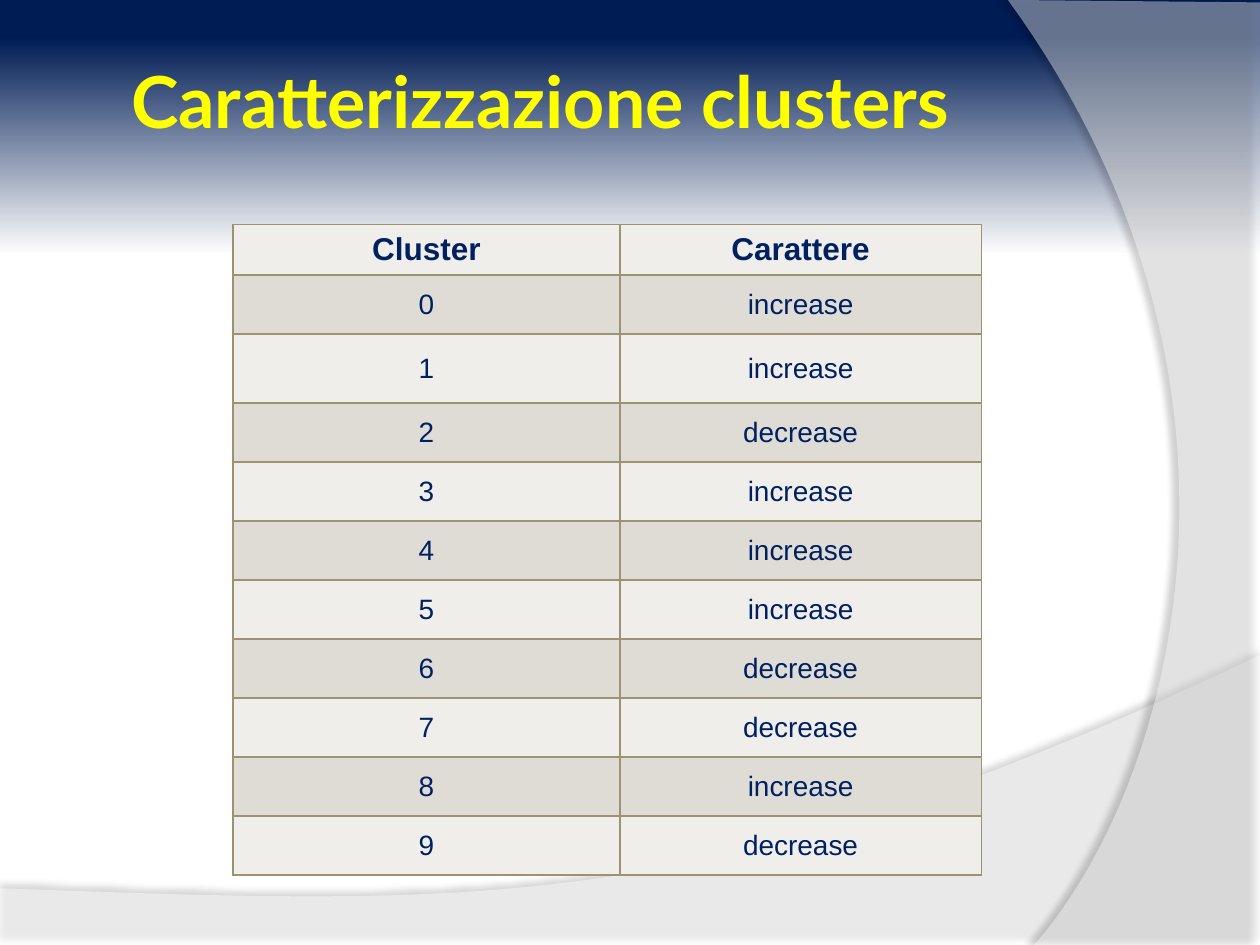
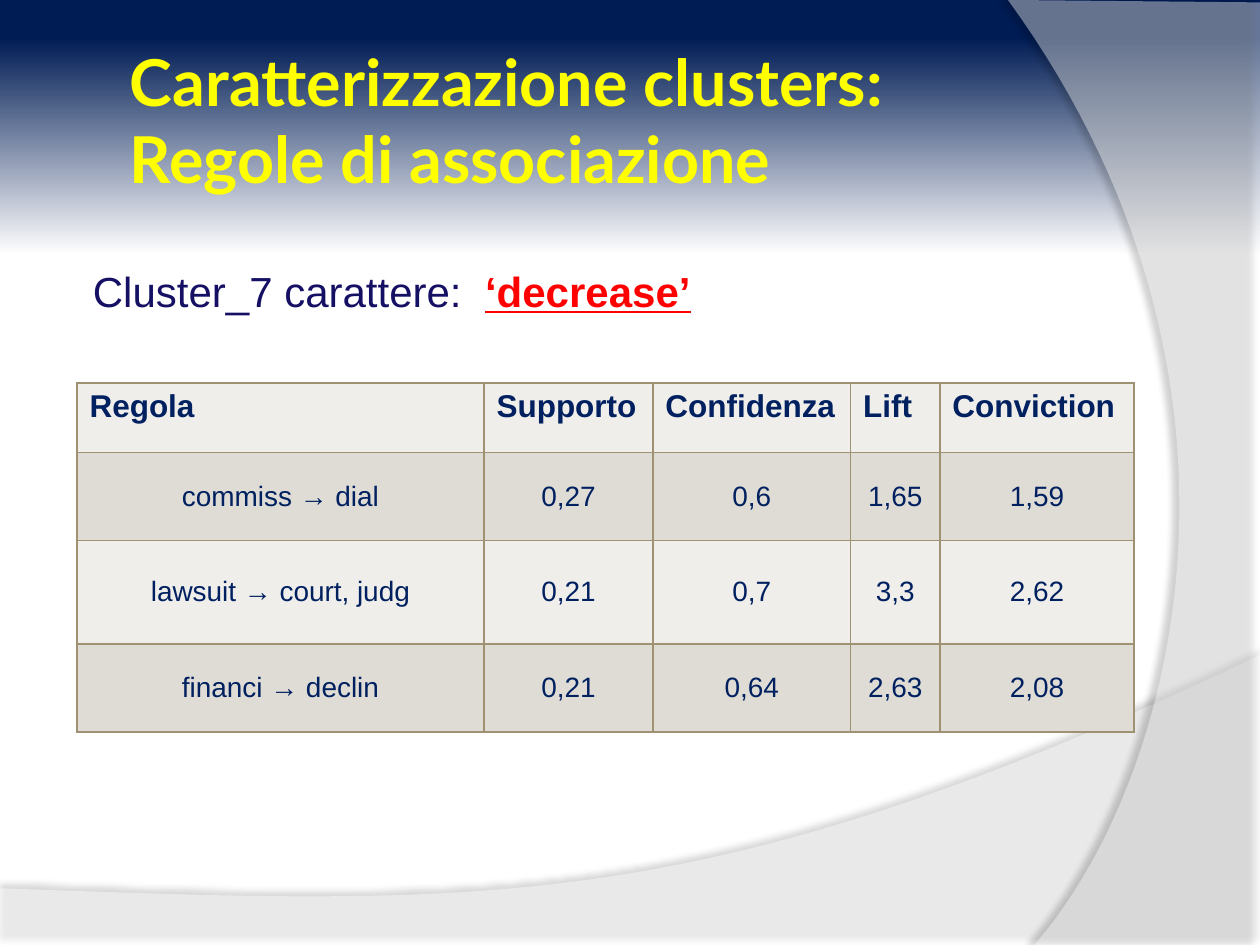
from lxml import etree
from pptx import Presentation
from pptx.dml.color import RGBColor
from pptx.enum.text import MSO_ANCHOR, PP_ALIGN
from pptx.oxml.ns import qn
from pptx.util import Pt

MIDDLE, TOP = MSO_ANCHOR.MIDDLE, MSO_ANCHOR.TOP
CENTER, LEFT = PP_ALIGN.CENTER, PP_ALIGN.LEFT

# Content
CLUSTERS_TITLE = "Caratterizzazione clusters"
CLUSTER_HEADER = ("Cluster", "Carattere")
CHARACTERS = ["increase", "increase", "decrease", "increase", "increase",
              "increase", "decrease", "decrease", "increase", "decrease"]

RULES_TITLE = "Caratterizzazione clusters:\vRegole di associazione"
CLUSTER_LABEL = "Cluster_7 carattere:  "
CLUSTER_CHARACTER = "‘decrease’"
RULES = [
    ("Regola", "Supporto", "Confidenza", "Lift", "Conviction"),
    ("commiss → dial", "0,27", "0,6", "1,65", "1,59"),
    ("lawsuit → court, judg", "0,21", "0,7", "3,3", "2,62"),
    ("financi → declin", "0,21", "0,64", "2,63", "2,08"),
]

# Shared look
WIDTH, HEIGHT = 720, 540
TITLE_FONT, BODY_FONT = "Lato", "Arial"
NAVY, WHITE, YELLOW, RED = "001C54", "FFFFFF", "FFFF00", "FF0000"
LABEL_COLOR, TABLE_TEXT, BORDER = "151064", "002060", "9E9273"
ROW_FILLS = ("F0EEEB", "DFDCD5")


def rgb(color):
    return RGBColor.from_string(color)


def add_xml(parent, tag, **attributes):
    return etree.SubElement(parent, qn(tag), attributes)


def style(span, font, size, color, bold=False):
    span.font.name, span.font.size, span.font.bold = font, Pt(size), bold
    span.font.color.rgb = rgb(color)


def curve(start, control_1, control_2, end, steps=60):
    """Points of a cubic Bezier curve."""
    points = []
    for step in range(steps + 1):
        t = step / steps
        weights = ((1 - t) ** 3, 3 * t * (1 - t) ** 2, 3 * t ** 2 * (1 - t), t ** 3)
        points.append(tuple(
            sum(weight * value for weight, value in zip(weights, values))
            for values in zip(start, control_1, control_2, end)))
    return points


WAVE = [(0, HEIGHT), (WIDTH, HEIGHT)] + curve(
    (WIDTH, 374.4), (402.5, 524.9), (281.5, 517.7), (0, 507.6))
ARC = [(WIDTH, 1.4), (WIDTH, HEIGHT)] + curve(
    (591, HEIGHT), (673.2, 445.7), (733, 216), (576, 0))
# outline, opacity %, shadow opacity %, shadow distance, shadow direction
SWEEPS = [(WAVE, 45, 35, 3.5, 270), (ARC, 40, 45, 4, 180)]


def add_sweep(slide, outline, opacity, shadow_opacity, distance, direction):
    points = [(Pt(x), Pt(y)) for x, y in outline]
    builder = slide.shapes.build_freeform(*points[0], scale=1.0)
    builder.add_line_segments(points[1:], close=True)
    sweep = builder.convert_to_shape()
    sweep.line.fill.background()
    sweep.fill.solid()
    sweep.fill.fore_color.rgb = rgb(WHITE)
    properties = sweep.element.spPr
    fill_color = properties.find(qn("a:solidFill")).find(qn("a:srgbClr"))
    add_xml(fill_color, "a:alpha", val=str(opacity * 1000))
    # Soft shadow
    effects = add_xml(properties, "a:effectLst")
    shadow = add_xml(effects, "a:outerShdw", blurRad=str(Pt(4)), dist=str(Pt(distance)),
                     dir=str(direction * 60000), algn="ctr", rotWithShape="0")
    shadow_color = add_xml(shadow, "a:srgbClr", val="000000")
    add_xml(shadow_color, "a:alpha", val=str(shadow_opacity * 1000))


def set_background(master):
    fill = master.background.fill
    fill.gradient()
    fill.gradient_angle = 270
    for stop, color, position in zip(fill.gradient_stops, (NAVY, WHITE), (0.04, 0.27)):
        stop.color.rgb = rgb(color)
        stop.position = position


def add_title_slide(deck, title, left, top, size):
    slide = deck.slides.add_slide(deck.slide_layouts[6])
    for sweep in SWEEPS:
        add_sweep(slide, *sweep)
    frame = slide.shapes.add_textbox(Pt(left), Pt(top), Pt(533), Pt(72.7)).text_frame
    frame.word_wrap = True
    frame.vertical_anchor = MIDDLE
    frame.margin_left = frame.margin_right = Pt(3.6)
    frame.margin_top = frame.margin_bottom = Pt(3.6)
    frame.text = title
    for span in frame.paragraphs[0].runs:
        style(span, TITLE_FONT, size, YELLOW, bold=True)
    return slide


def add_borders(cell):
    properties = cell._tc.get_or_add_tcPr()
    for index, side in enumerate(("a:lnL", "a:lnR", "a:lnT", "a:lnB")):
        line = add_xml(properties, side, w=str(Pt(1)))
        add_xml(add_xml(line, "a:solidFill"), "a:srgbClr", val=BORDER)
        properties.insert(index, line)


def add_grid(slide, rows, left, top, widths, heights, header_align, header_anchor):
    table = slide.shapes.add_table(len(rows), len(widths), Pt(left), Pt(top),
                                   Pt(sum(widths)), Pt(sum(heights))).table
    table.first_row = table.horz_banding = False
    for column, width in zip(table.columns, widths):
        column.width = Pt(width)
    for number, (values, height) in enumerate(zip(rows, heights)):
        is_header = number == 0
        table.rows[number].height = Pt(height)
        for cell, value in zip(table.rows[number].cells, values):
            cell.fill.solid()
            cell.fill.fore_color.rgb = rgb(ROW_FILLS[number % 2])
            add_borders(cell)
            cell.vertical_anchor = header_anchor if is_header else MIDDLE
            para = cell.text_frame.paragraphs[0]
            para.text = value
            para.alignment = header_align if is_header else CENTER
            style(para.runs[0], BODY_FONT, 18 if is_header else 16, TABLE_TEXT, is_header)


def build_clusters_slide(deck):
    slide = add_title_slide(deck, CLUSTERS_TITLE, 71.3, 20.9, 41)
    rows = [CLUSTER_HEADER] + [(str(n), name) for n, name in enumerate(CHARACTERS)]
    heights = [27, 33.75, 39.5] + [33.75] * 8
    add_grid(slide, rows, 133.2, 128.2, [221, 206.6], heights, CENTER, MIDDLE)


def build_rules_slide(deck):
    slide = add_title_slide(deck, RULES_TITLE, 70.6, 31.7, 36.9)
    # Cluster label
    frame = slide.shapes.add_textbox(Pt(46), Pt(148.3), Pt(358.6), Pt(36)).text_frame
    frame.word_wrap = False
    para = frame.paragraphs[0]
    para.text = CLUSTER_LABEL
    style(para.runs[0], BODY_FONT, 24, LABEL_COLOR)
    span = para.add_run()
    span.text = CLUSTER_CHARACTER
    style(span, BODY_FONT, 24, RED, bold=True)
    span.font.underline = True
    # Association rules
    add_grid(slide, RULES, 44, 218.9, [232.6, 96.5, 113, 51, 111],
             [39.6, 50.4, 59, 50.4], LEFT, TOP)


def main():
    deck = Presentation()
    deck.slide_width, deck.slide_height = Pt(WIDTH), Pt(HEIGHT)
    set_background(deck.slide_master)
    build_clusters_slide(deck)
    build_rules_slide(deck)
    deck.save("out.pptx")


if __name__ == "__main__":
    main()
